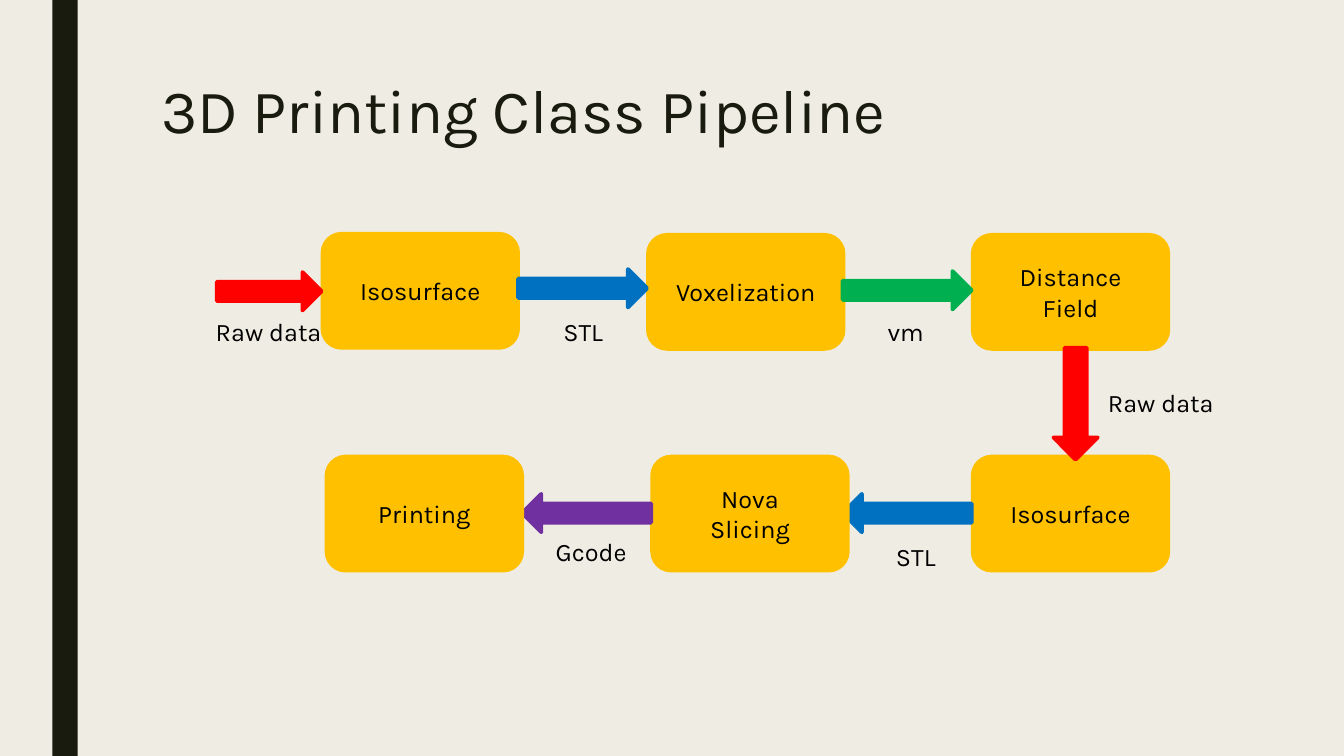
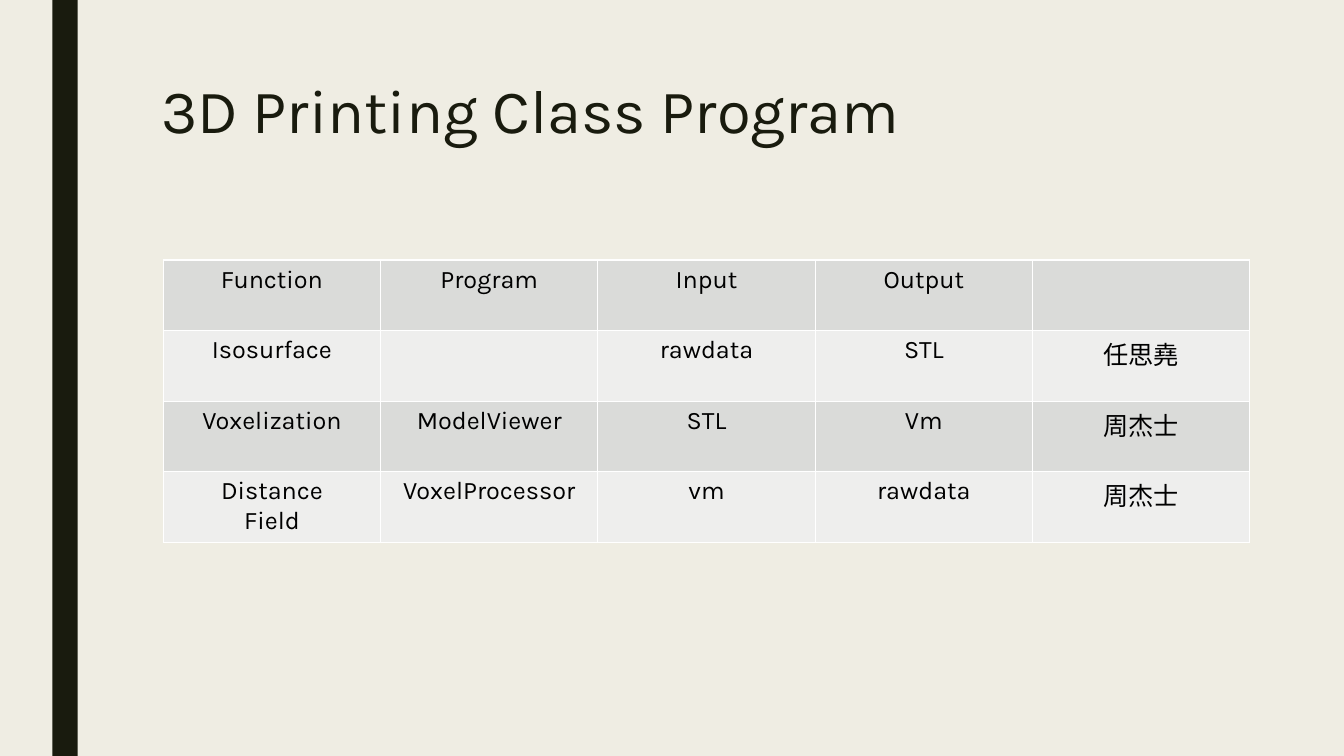
"""Build two slides on a 3D printing class: its pipeline and its programs."""
from lxml import etree
from pptx import Presentation
from pptx import util as u
from pptx.dml.color import RGBColor
from pptx.enum import shapes, text
from pptx.oxml import ns

COLORS = {
    "paper": "EFEDE3", "ink": "191B0E", "black": "000000", "white": "FFFFFF",
    "amber": "FFC000", "red": "FF0000", "blue": "0070C0", "green": "00B050",
    "purple": "7030A0", "odd": "DADBD9", "even": "EEEEED",
}
RIGHT = shapes.MSO_SHAPE.RIGHT_ARROW
DOWN = shapes.MSO_SHAPE.DOWN_ARROW


def color(name):
    return RGBColor.from_string(COLORS[name])


class Slides:
    """Hold the style and current page; places are percent of the slide's size."""

    font = "Karla"
    body_size = 18
    box_size = (14.55, 15.07)
    label_size = (9.38, 5.33)
    arrow_size = (9.6, 5.07)

    def __init__(self):
        self.deck = Presentation()
        self.deck.slide_width = u.Inches(13.33)
        self.deck.slide_height = u.Inches(7.5)
        self.page = None
        fill = self.deck.slide_master.background.fill
        fill.solid()
        fill.fore_color.rgb = color("paper")

    def place(self, left, top, width, height):
        across, down = self.deck.slide_width / 100, self.deck.slide_height / 100
        return [round(part) for part in
                (left * across, top * down, width * across, height * down)]

    def set_text(self, frame, words, size=body_size, ink="black",
                 align=text.PP_ALIGN.CENTER):
        para = frame.paragraphs[0]
        para.text = words
        para.alignment = align
        for item in [para, *para.runs]:
            item.font.name = self.font
            item.font.size = u.Pt(size)
            item.font.color.rgb = color(ink)
        return para

    def add_page(self, title):
        self.page = self.deck.slides.add_slide(self.deck.slide_layouts[5])
        if len(self.deck.slides) == 1:
            self.add_band()
        holder = self.page.shapes.title
        holder.left, holder.top, holder.width, holder.height = self.place(
            11.25, 10, 78.75, 12.67)
        frame = holder.text_frame
        frame.word_wrap = True
        frame.auto_size = text.MSO_AUTO_SIZE.NONE
        frame.vertical_anchor = text.MSO_ANCHOR.TOP
        para = self.set_text(frame, title, 44, "ink", text.PP_ALIGN.LEFT)
        para.line_spacing = 0.89

    def add_band(self):
        band = self.shape(shapes.MSO_SHAPE.RECTANGLE, (3.9, 0, 1.88, 100), "ink")
        band.line.fill.background()
        band.element.xpath("p:nvSpPr/p:cNvPr")[0].set("id", "20")
        self.deck.slide_master.shapes.element.insert(2, band.element)

    def shape(self, kind, spot, fill):
        shape = self.page.shapes.add_shape(kind, *self.place(*spot))
        shape.shadow.inherit = False
        shape.fill.solid()
        shape.fill.fore_color.rgb = color(fill)
        shape.line.color.rgb = color(fill)
        shape.line.width = u.Pt(2.75)
        return shape

    def box(self, left, top, words):
        box = self.shape(shapes.MSO_SHAPE.ROUNDED_RECTANGLE,
                         (left, top, *self.box_size), "amber")
        box.text_frame.vertical_anchor = text.MSO_ANCHOR.MIDDLE
        self.set_text(box.text_frame, words)

    def arrow(self, left, top, fill, size=arrow_size, kind=RIGHT, turn=0):
        arrow = self.shape(kind, (left, top, *size), fill)
        arrow.rotation = turn

    def label(self, left, top, words):
        label = self.page.shapes.add_textbox(
            *self.place(left, top, *self.label_size))
        frame = label.text_frame
        frame.word_wrap = True
        frame.margin_left = frame.margin_right = 0
        self.set_text(frame, words)

    def table(self, spot, rows):
        holder = self.page.shapes.add_table(
            len(rows), len(rows[0]), *self.place(*spot))
        table = holder.table
        table.first_row = False
        for row, entries in enumerate(rows):
            for column, words in enumerate(entries):
                cell = table.cell(row, column)
                cell.fill.solid()
                cell.fill.fore_color.rgb = color("even" if row % 2 else "odd")
                self.set_text(cell.text_frame, words)
        for props in holder.element.iter(ns.qn("a:tcPr")):
            for index, side in enumerate(("lnL", "lnR", "lnT", "lnB")):
                line = etree.Element(ns.qn(f"a:{side}"), w=str(int(u.Pt(1))))
                paint = etree.SubElement(line, ns.qn("a:solidFill"))
                etree.SubElement(paint, ns.qn("a:srgbClr"), val=COLORS["white"])
                props.insert(index, line)


slides = Slides()

slides.add_page("3D Printing Class Pipeline")
slides.box(24, 30.93, "Isosurface")
slides.box(48.22, 31.07, "Voxelization")
slides.box(72.38, 31.07, "Distance\vField")
slides.box(72.38, 60.4, "Isosurface")
slides.arrow(16.13, 36, "red", size=(7.8, 5.07))
slides.arrow(38.55, 35.6, "blue")
slides.arrow(62.7, 35.87, "green")
slides.arrow(78.38, 46, "red", size=(3.3, 14.8), kind=DOWN)
slides.arrow(62.7, 65.33, "blue", turn=180)
slides.box(48.53, 60.4, "Nova\vSlicing")
slides.arrow(38.85, 65.33, "purple", turn=180)
slides.box(24.3, 60.4, "Printing")
for left, top, words in (
        (15.3, 41.2, "Raw data"), (38.7, 41.2, "STL"), (62.7, 41.2, "vm"),
        (81.68, 50.53, "Raw data"), (63.45, 70.93, "STL"),
        (39.3, 70.27, "Gcode")):
    slides.label(left, top, words)

slides.add_page("3D Printing Class Program")
slides.table((12.15, 34.4, 80.85, 37.33), [
    ["Function", "Program", "Input", "Output", ""],
    ["Isosurface", "", "rawdata", "STL", "任思堯"],
    ["Voxelization", "ModelViewer", "STL", "Vm", "周杰士"],
    ["Distance\vField", "VoxelProcessor", "vm", "rawdata", "周杰士"],
])

slides.deck.save("out.pptx")
